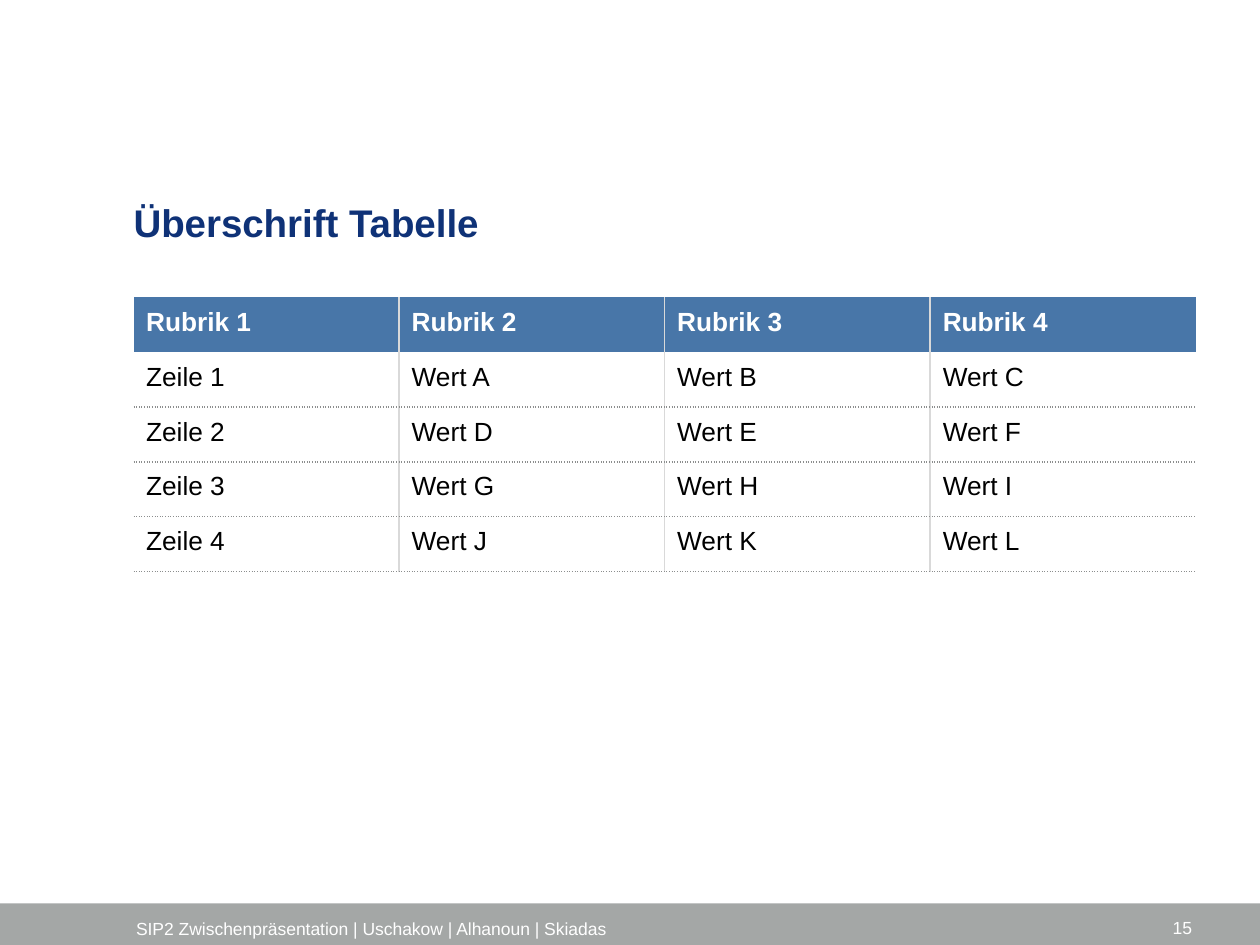
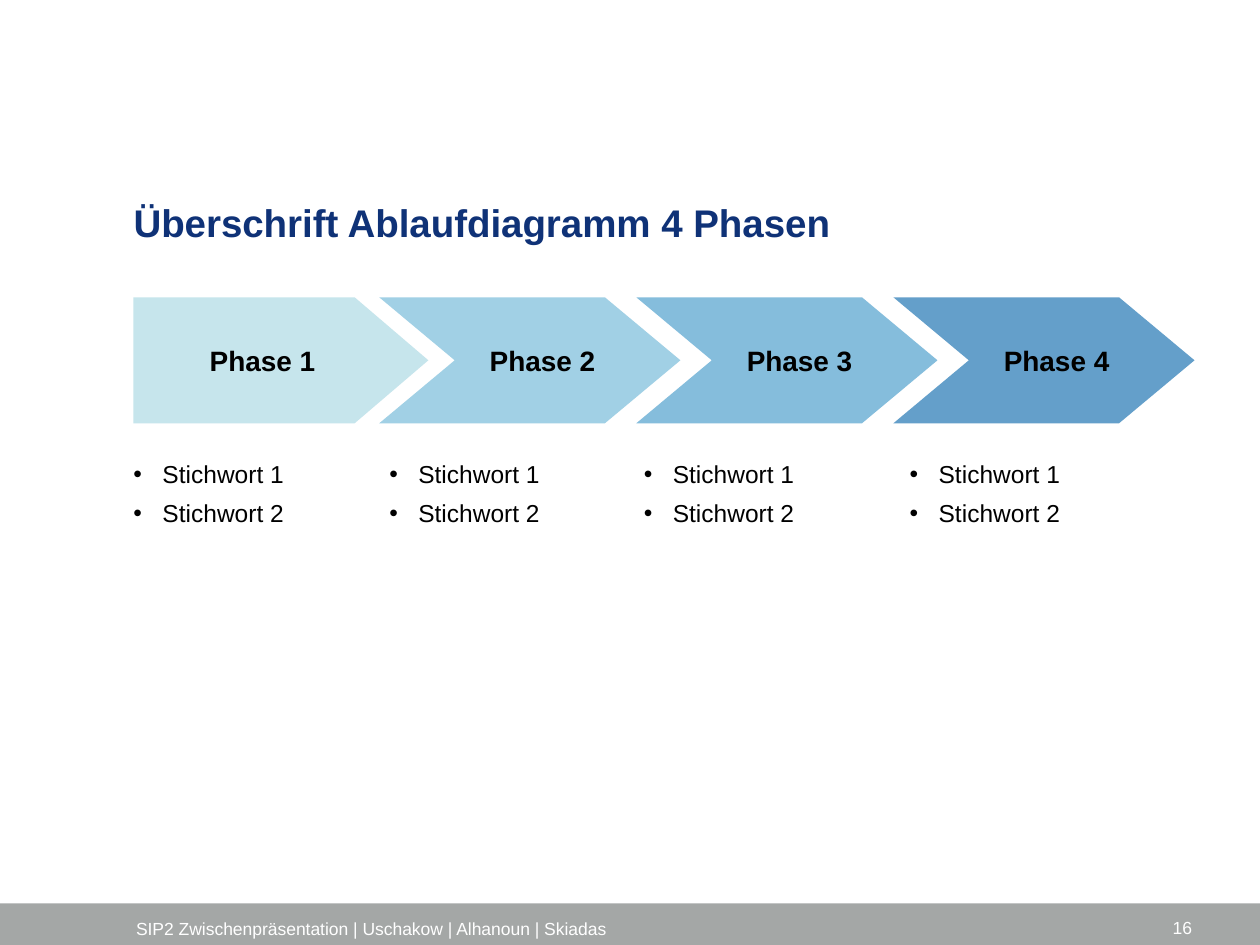
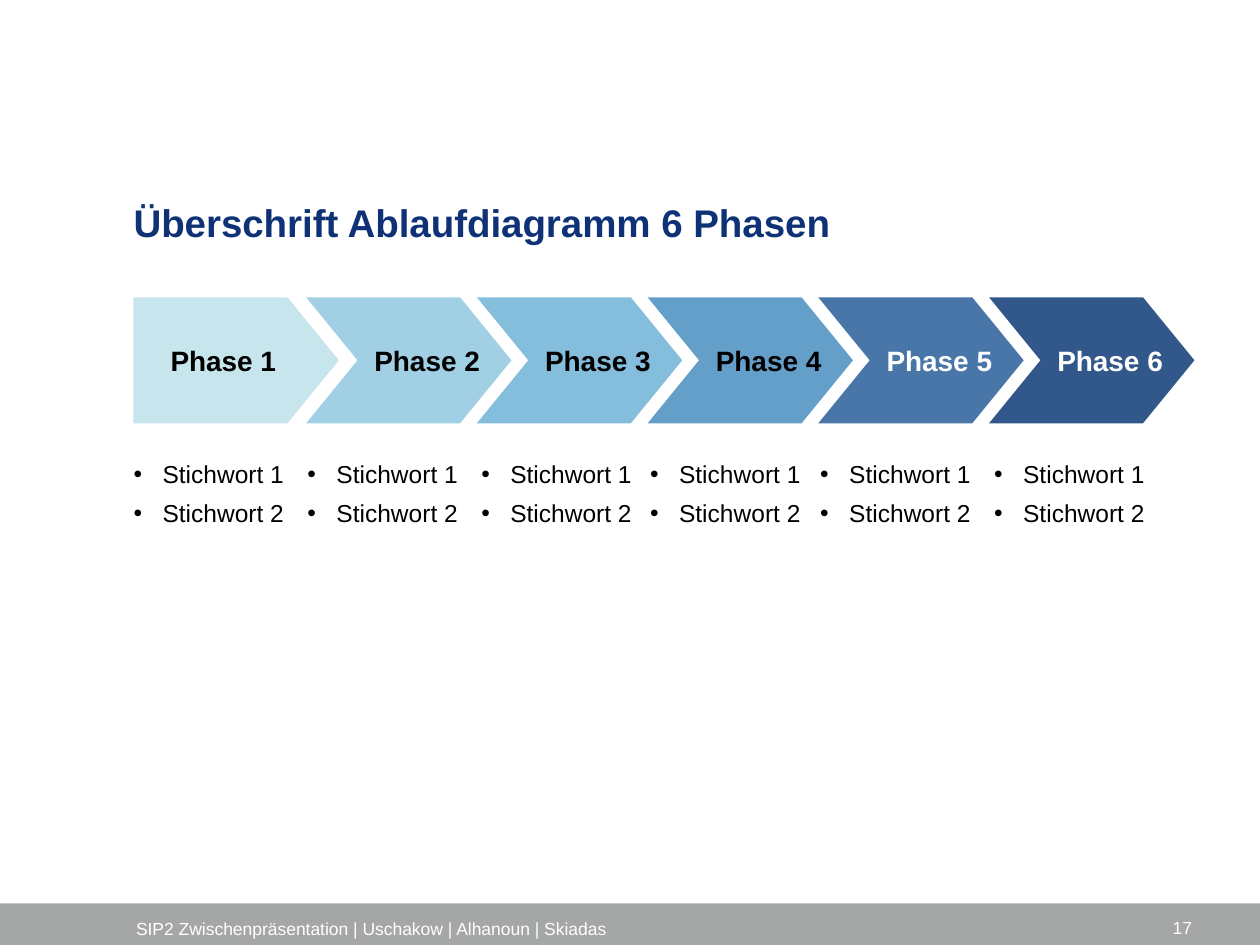
import dataclasses
import typing

import lxml.etree
import pptx
import pptx.dml.color
import pptx.enum.shapes
import pptx.enum.text
import pptx.oxml.ns
import pptx.util

Inches = pptx.util.Inches
RGBColor = pptx.dml.color.RGBColor
Align = pptx.enum.text.PP_ALIGN
Anchor = pptx.enum.text.MSO_ANCHOR
Preset = pptx.enum.shapes.MSO_SHAPE
qn = pptx.oxml.ns.qn

FONT = "Arial"
WHITE = RGBColor(0xFF, 0xFF, 0xFF)
BLACK = RGBColor(0x00, 0x00, 0x00)
NAVY = RGBColor(0x0F, 0x32, 0x77)
BAND_GRAY = RGBColor(0xA4, 0xA7, 0xA6)
COLUMN_LINE = RGBColor(0xD9, 0xD9, 0xD9)
ROW_LINE = RGBColor(0x8C, 0x8E, 0x8E)
STEEL = RGBColor(0x48, 0x76, 0xA8)
PHASE_FILLS = (
    RGBColor(0xC6, 0xE5, 0xEC),
    RGBColor(0xA1, 0xD0, 0xE5),
    RGBColor(0x85, 0xBD, 0xDC),
    RGBColor(0x64, 0x9F, 0xCA),
    STEEL,
    RGBColor(0x32, 0x57, 0x8A),
)
DARK_FILLS = PHASE_FILLS[4:]

LEFT = Inches(1.06)
CONTENT_TOP = Inches(2.36)
CONTENT_WIDTH = Inches(8.43)
KEYWORD_TOP = Inches(3.62)
KEYWORD_HEIGHT = Inches(2.69)
KEYWORD_INDENT = Inches(0.23)
PHASE_HEIGHT = Inches(1)
ROW_HEIGHT = Inches(0.42)
LINE_SPACING = 1.1
NO_INSETS = (0, 0, 0, 0)
CELL_INSETS = (0.1, 0.06, 0.1, 0.1)
FIRST_PAGE = 15
FOOTER = "SIP2 Zwischenpräsentation | Uschakow | Alhanoun | Skiadas"
NO_GRID_STYLE = "{2D5ABB26-0587-4C30-8999-92F81FD0307C}"
KEYWORDS = ("Stichwort 1", "Stichwort 2")
TABLE_ROWS = (
    ("Rubrik 1", "Rubrik 2", "Rubrik 3", "Rubrik 4"),
    ("Zeile 1", "Wert A", "Wert B", "Wert C"),
    ("Zeile 2", "Wert D", "Wert E", "Wert F"),
    ("Zeile 3", "Wert G", "Wert H", "Wert I"),
    ("Zeile 4", "Wert J", "Wert K", "Wert L"),
)


@dataclasses.dataclass(frozen=True)
class TextStyle:
    size: float
    color: RGBColor
    bold: bool = False
    align: Align = Align.LEFT
    line_spacing: float = 1.0
    space_after: float = 0


@dataclasses.dataclass(frozen=True)
class Process:
    title: str
    plate_width: float
    plate_point: float
    chevron_width: float
    chevron_point: float
    chevron_inset: float
    first_chevron: float
    last_chevron: float
    keyword_width: float
    keyword_lefts: tuple[float, ...]


TITLE_STYLE = TextStyle(22, NAVY, True, line_spacing=LINE_SPACING)
FOOTER_STYLE = TextStyle(10, WHITE)
PAGE_STYLE = TextStyle(10, WHITE, align=Align.RIGHT)
HEADER_STYLE = TextStyle(15, WHITE, True, line_spacing=LINE_SPACING)
CELL_STYLE = TextStyle(15, BLACK, line_spacing=LINE_SPACING)
KEYWORD_STYLE = TextStyle(14, BLACK, line_spacing=LINE_SPACING, space_after=4)

PROCESSES = (
    Process("Überschrift Ablaufdiagramm 4 Phasen", 2.34, 0.585, 2.39, 0.599, 0.3,
            3.01, 7.09, 1.34, (1.06, 3.09, 5.11, 7.22)),
    Process("Überschrift Ablaufdiagramm 6 Phasen", 1.63, 0.408, 1.63, 0.408, 0.39,
            2.43, 7.85, 1.32, (1.06, 2.44, 3.82, 5.16, 6.51, 7.89)),
)


def write_paragraph(para: typing.Any, text: str, style: TextStyle) -> None:
    para.alignment = style.align
    para.line_spacing = style.line_spacing
    para.space_before = pptx.util.Pt(0)
    para.space_after = pptx.util.Pt(style.space_after)
    span = para.add_run()
    span.text = text
    span.font.name = FONT
    span.font.size = pptx.util.Pt(style.size)
    span.font.bold = style.bold
    span.font.color.rgb = style.color


def set_insets(target: typing.Any, insets: tuple[float, ...]) -> None:
    left, top, right, bottom = insets
    target.margin_left = Inches(left)
    target.margin_top = Inches(top)
    target.margin_right = Inches(right)
    target.margin_bottom = Inches(bottom)


def add_text(page: typing.Any, left: float, top: float, width: float, height: float,
             text: str, style: TextStyle, anchor: Anchor,
             insets: tuple[float, ...]) -> None:
    box = page.shapes.add_textbox(Inches(left), Inches(top), Inches(width), Inches(height))
    frame = box.text_frame
    frame.word_wrap = True
    frame.vertical_anchor = anchor
    set_insets(frame, insets)
    write_paragraph(frame.paragraphs[0], text, style)


def add_filled_shape(page: typing.Any, preset: Preset, left: int, top: int,
                     width: int, height: int, fill: RGBColor) -> typing.Any:
    shape = page.shapes.add_shape(preset, left, top, width, height)
    shape.shadow.inherit = False
    shape.fill.solid()
    shape.fill.fore_color.rgb = fill
    shape.line.fill.background()
    return shape


def add_page(deck: typing.Any, title: str) -> typing.Any:
    page = deck.slides.add_slide(deck.slide_layouts.get_by_name("Title Only"))
    add_filled_shape(page, Preset.RECTANGLE, 0, Inches(7.17),
                     deck.slide_width, Inches(0.33), BAND_GRAY)
    heading = page.shapes.title
    heading.left, heading.top = LEFT, Inches(1.54)
    heading.width, heading.height = CONTENT_WIDTH, Inches(0.87)
    frame = heading.text_frame
    frame.auto_size = pptx.enum.text.MSO_AUTO_SIZE.NONE
    frame.vertical_anchor = Anchor.TOP
    set_insets(frame, NO_INSETS)
    write_paragraph(frame.paragraphs[0], title, TITLE_STYLE)
    number = FIRST_PAGE + len(deck.slides) - 1
    add_text(page, 1.08, 7.25, 5.65, 0.2, FOOTER, FOOTER_STYLE, Anchor.BOTTOM, NO_INSETS)
    add_text(page, 7.23, 7.16, 2.33, 0.4, str(number), PAGE_STYLE, Anchor.MIDDLE,
             (0.1, 0.05, 0.1, 0.05))
    return page


def add_border(cell: typing.Any, side: str, color: RGBColor, dash: str) -> None:
    properties = cell._tc.get_or_add_tcPr()
    line = lxml.etree.SubElement(properties, qn(f"a:ln{side}"), w=str(pptx.util.Pt(1)))
    fill = lxml.etree.SubElement(line, qn("a:solidFill"))
    lxml.etree.SubElement(fill, qn("a:srgbClr"), val=str(color))
    lxml.etree.SubElement(line, qn("a:prstDash"), val=dash)


def add_value_table(page: typing.Any) -> None:
    row_count, column_count = len(TABLE_ROWS), len(TABLE_ROWS[0])
    frame = page.shapes.add_table(row_count, column_count, LEFT, CONTENT_TOP,
                                  CONTENT_WIDTH, ROW_HEIGHT * row_count)
    table = frame.table
    table.first_row = False
    table.horz_banding = False
    table._tbl.tblPr.find(qn("a:tableStyleId")).text = NO_GRID_STYLE
    for row_index, values in enumerate(TABLE_ROWS):
        for column_index, value in enumerate(values):
            cell = table.cell(row_index, column_index)
            set_insets(cell, CELL_INSETS)
            if column_index > 0:
                add_border(cell, "L", COLUMN_LINE, "solid")
            if column_index < column_count - 1:
                add_border(cell, "R", COLUMN_LINE, "solid")
            if row_index > 1:
                add_border(cell, "T", ROW_LINE, "sysDot")
            if row_index > 0:
                add_border(cell, "B", ROW_LINE, "sysDot")
                cell.fill.background()
            else:
                cell.fill.solid()
                cell.fill.fore_color.rgb = STEEL
            style = CELL_STYLE if row_index else HEADER_STYLE
            write_paragraph(cell.text_frame.paragraphs[0], value, style)


def add_phase(page: typing.Any, process: Process, index: int) -> None:
    if index == 0:
        preset, left, inset = Preset.PENTAGON, LEFT, 0.1
        width, point = process.plate_width, process.plate_point
    else:
        gaps = len(process.keyword_lefts) - 2
        pitch = (process.last_chevron - process.first_chevron) / gaps
        left = Inches(process.first_chevron + pitch * (index - 1))
        preset, inset = Preset.CHEVRON, process.chevron_inset
        width, point = process.chevron_width, process.chevron_point
    fill = PHASE_FILLS[index]
    shape = add_filled_shape(page, preset, left, CONTENT_TOP, Inches(width),
                             PHASE_HEIGHT, fill)
    shape.adjustments[0] = point
    frame = shape.text_frame
    frame.word_wrap = False
    frame.vertical_anchor = Anchor.MIDDLE
    set_insets(frame, (inset, 0.05, 0.1, 0.05))
    color = WHITE if fill in DARK_FILLS else BLACK
    write_paragraph(frame.paragraphs[0], f"Phase {index + 1}",
                    TextStyle(16, color, True, Align.CENTER))


def add_keywords(page: typing.Any, left: float, width: float) -> None:
    box = page.shapes.add_textbox(Inches(left), KEYWORD_TOP, Inches(width), KEYWORD_HEIGHT)
    frame = box.text_frame
    frame.word_wrap = True
    set_insets(frame, NO_INSETS)
    for index, keyword in enumerate(KEYWORDS):
        para = frame.add_paragraph() if index else frame.paragraphs[0]
        write_paragraph(para, keyword, KEYWORD_STYLE)
        properties = para._p.get_or_add_pPr()
        properties.set("marL", str(KEYWORD_INDENT))
        properties.set("indent", str(-KEYWORD_INDENT))
        lxml.etree.SubElement(properties, qn("a:buFont"), typeface=FONT)
        lxml.etree.SubElement(properties, qn("a:buChar"), char="•")


def main() -> None:
    deck = pptx.Presentation()
    deck.slide_width, deck.slide_height = Inches(10), Inches(7.5)
    add_value_table(add_page(deck, "Überschrift Tabelle"))
    for process in PROCESSES:
        page = add_page(deck, process.title)
        for index, keyword_left in enumerate(process.keyword_lefts):
            add_phase(page, process, index)
            add_keywords(page, keyword_left, process.keyword_width)
    deck.save("out.pptx")


if __name__ == "__main__":
    main()
